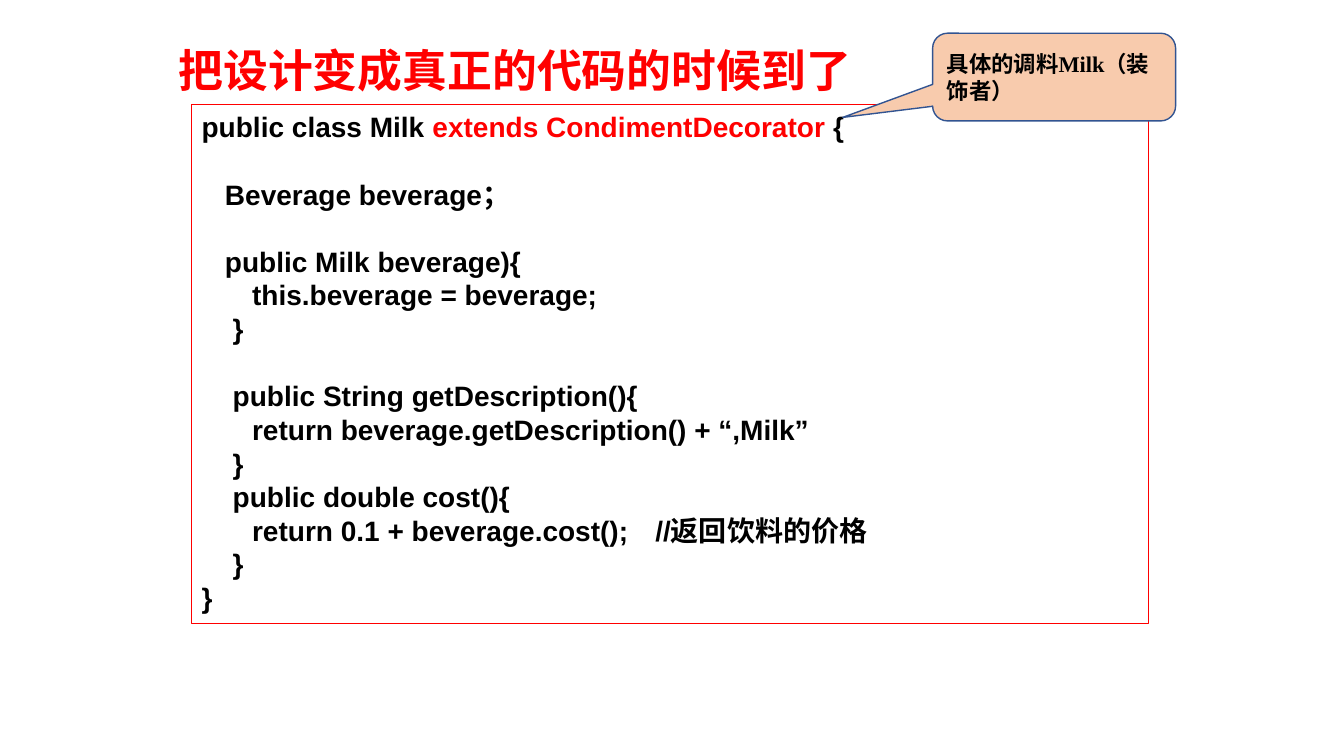
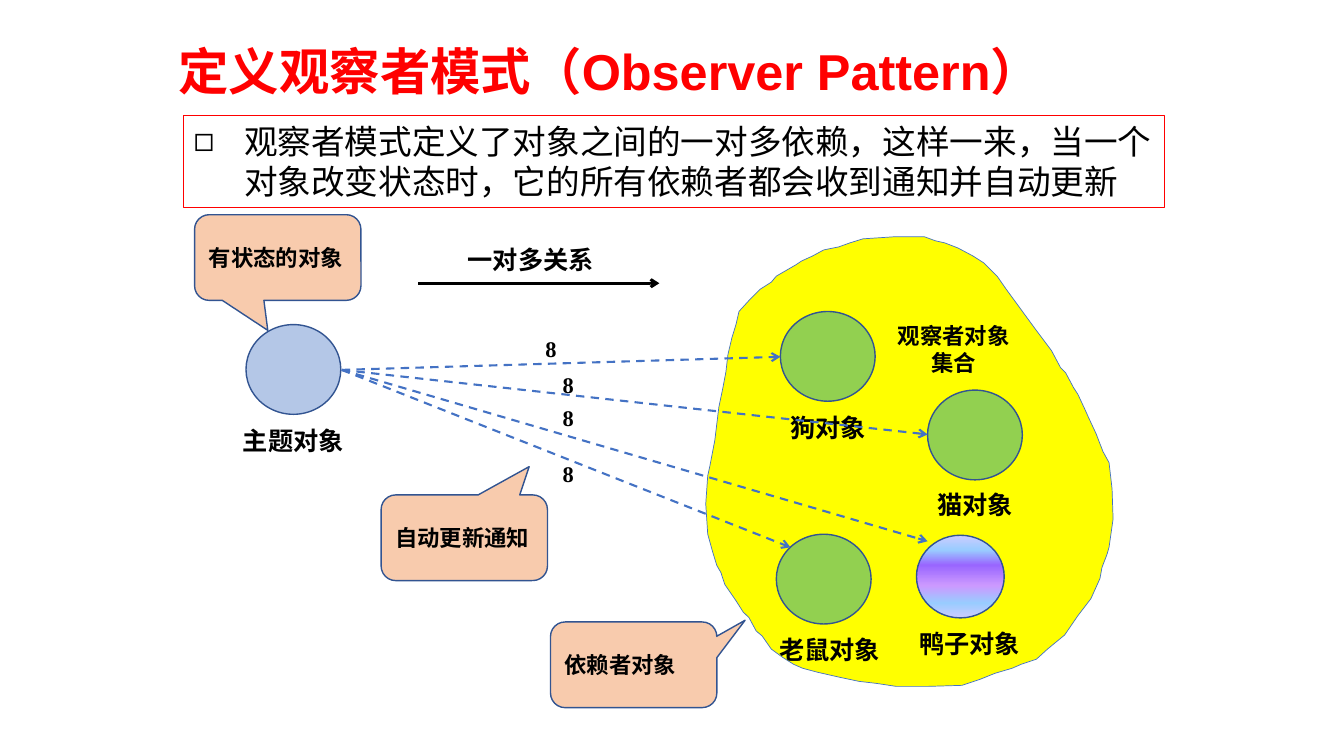
from lxml import etree
from pptx import Presentation
from pptx import util as u
from pptx.dml.color import RGBColor
from pptx.enum import dml, shapes, text
from pptx.oxml.ns import qn

COLORS = {
    "red": "FF0000", "black": "000000", "white": "FFFFFF",
    "peach": "F8CBAD", "navy": "325491", "blue": "4472C4",
    "pale_blue": "B4C7E7", "green": "92D050", "yellow": "FFFF00",
}
DUCK_STOPS = [(0, "CCCCFF"), (18, "99CCFF"), (36, "9966FF"),
              (61, "CC99FF"), (82, "99CCFF"), (100, "CCCCFF")]
EAST_ASIAN = "Noto Sans CJK SC"
SERIF = "Times New Roman"
LINE_HEIGHT = 1.2

# Each code line: spans of (text, colour), and whether a blank line precedes it
CODE = [
    ([("public class Milk ", "black"),
      ("extends CondimentDecorator", "red"), (" {", "black")], False),
    ("   Beverage beverage；", True),
    ("   public Milk beverage){", True),
    ("    \tthis.beverage = beverage;", False),
    ("    }", False),
    ("    public String getDescription(){", True),
    ("\treturn beverage.getDescription() + “,Milk”", False),
    ("    }", False),
    ("    public double cost(){", False),
    ("\treturn 0.1 + beverage.cost(); \t//返回饮料的价格", False),
    ("    }", False),
    ("}", False),
]

# Outline of the observer set, in inches
OBSERVER_SET = [
    (7.95, 2.59), (7.89, 2.63), (7.7, 2.74), (7.65, 2.8), (7.54, 2.87),
    (7.43, 2.98), (7.33, 3.09), (7.3, 3.22), (7.26, 3.35), (7.22, 3.52),
    (7.2, 3.69), (7.17, 3.85), (7.13, 4.04), (7.09, 4.37), (7.04, 4.63),
    (7.02, 4.72), (7, 5), (7.02, 5.3), (7.07, 5.48), (7.11, 5.61),
    (7.15, 5.68), (7.19, 5.8), (7.3, 5.96), (7.37, 6.07), (7.43, 6.13),
    (7.5, 6.26), (7.56, 6.31), (7.65, 6.44), (7.76, 6.52), (7.87, 6.59),
    (7.96, 6.63), (8.11, 6.67), (8.33, 6.72), (8.52, 6.76), (8.69, 6.78),
    (8.89, 6.81), (9.2, 6.81), (9.54, 6.8), (9.72, 6.74), (9.87, 6.68),
    (10.04, 6.63), (10.13, 6.59), (10.28, 6.54), (10.39, 6.44),
    (10.56, 6.3), (10.69, 6.11), (10.82, 5.94), (10.91, 5.74),
    (10.93, 5.63), (10.98, 5.5), (11, 5.43), (11.04, 5.15), (11.03, 4.85),
    (11, 4.59), (10.94, 4.48), (10.87, 4.3), (10.8, 4.15), (10.76, 4.06),
    (10.69, 3.91), (10.65, 3.85), (10.57, 3.7), (10.52, 3.65),
    (10.43, 3.48), (10.28, 3.28), (10.17, 3.13), (10.09, 3.02),
    (9.98, 2.87), (9.89, 2.74), (9.76, 2.61), (9.65, 2.54), (9.5, 2.46),
    (9.37, 2.41), (9.28, 2.39), (9.17, 2.35), (8.86, 2.35), (8.56, 2.37),
    (8.43, 2.41), (8.32, 2.45), (8.17, 2.48), (8.06, 2.54),
]


def rgb(name):
    return RGBColor.from_string(COLORS[name])


def place(box, left, top, width, height):
    box.left, box.top = u.Inches(left), u.Inches(top)
    box.width, box.height = u.Inches(width), u.Inches(height)


def paint(box, fill=None, line=None, weight=1):
    if fill:
        box.fill.solid()
        box.fill.fore_color.rgb = rgb(fill)
    else:
        box.fill.background()
    if line:
        box.line.color.rgb = rgb(line)
        box.line.width = u.Pt(weight)
    else:
        box.line.fill.background()


def add_span(para, content, *, size, font, color, bold):
    span = para.add_run()
    span.text = content
    span.font.size, span.font.bold = u.Pt(size), bold
    span.font.color.rgb = rgb(color)
    span.font.name = font
    east = etree.SubElement(span._r.get_or_add_rPr(), qn("a:ea"))
    east.set("typeface", EAST_ASIAN)


def write(box, lines, *, size=16, font=SERIF, color="black", bold=True,
          align=text.PP_ALIGN.LEFT, anchor=text.MSO_ANCHOR.TOP, wrap=True,
          bullet=None, tabs=()):
    """Fill box with lines; a line is a string, or spans plus a gap flag."""
    frame = box.text_frame
    frame.word_wrap = wrap
    frame.auto_size = text.MSO_AUTO_SIZE.NONE
    frame.vertical_anchor = anchor
    for index, line in enumerate(lines):
        spans, gap = (line, False) if isinstance(line, str) else line
        para = frame.paragraphs[0] if index == 0 else frame.add_paragraph()
        # Bullet, indent and tab stops
        props = para._p.get_or_add_pPr()
        hang = u.Inches(0.5) if bullet else 0
        props.set("marL", str(hang))
        props.set("indent", str(-hang))
        if bullet:
            etree.SubElement(props, qn("a:buChar")).set("char", bullet)
        else:
            etree.SubElement(props, qn("a:buNone"))
        if tabs:
            stops = etree.SubElement(props, qn("a:tabLst"))
            for stop in tabs:
                etree.SubElement(stops, qn("a:tab"),
                                 pos=str(u.Inches(stop)), algn="l")
        # Spacing and spans
        para.alignment = align
        para.line_spacing = u.Pt(size * LINE_HEIGHT)
        para.space_before = u.Pt(size * LINE_HEIGHT if gap else 0)
        para.space_after = u.Pt(0)
        if isinstance(spans, str):
            spans = [(spans, color)]
        for content, tint in spans:
            add_span(para, content, size=size, font=font, color=tint, bold=bold)


class SlideMaker:
    """Holds the shared style and the slide being built."""

    def __init__(self, deck):
        self.deck = deck
        self.page = None

    def start(self, title, at, size, font):
        self.page = self.deck.slides.add_slide(self.deck.slide_layouts[1])
        place(self.page.shapes.title, *at)
        write(self.page.shapes.title, [title], size=size, font=font, color="red")

    def body(self, lines, at, **style):
        box = self.page.placeholders[1]
        place(box, *at)
        paint(box, "white", "red", 0.75)
        write(box, lines, **style)

    def shape(self, kind, at, fill, line="navy"):
        box = self.page.shapes.add_shape(kind, *map(u.Inches, at))
        box.shadow.inherit = False
        paint(box, fill, line)
        return box

    def circle(self, left, top, fill, width=0.94, height=0.89):
        return self.shape(shapes.MSO_SHAPE.OVAL, (left, top, width, height), fill)

    def callout(self, words, at, pointer):
        box = self.shape(shapes.MSO_SHAPE.ROUNDED_RECTANGULAR_CALLOUT, at, "peach")
        for index, value in enumerate(pointer):
            box.adjustments[index] = value
        write(box, [words], anchor=text.MSO_ANCHOR.MIDDLE)

    def label(self, lines, at, fill=None, **style):
        box = self.page.shapes.add_textbox(*map(u.Inches, at))
        paint(box, fill)
        write(box, lines, wrap=False, **style)

    def outline(self, points, fill, line):
        first, *rest = [(u.Inches(x), u.Inches(y)) for x, y in points]
        builder = self.page.shapes.build_freeform(*first)
        builder.add_line_segments(rest, close=True)
        box = builder.convert_to_shape()
        box.shadow.inherit = False
        paint(box, fill, line, 0.5)

    def arrow(self, start, end, color, weight, dash=None):
        line = self.page.shapes.add_connector(
            shapes.MSO_CONNECTOR.STRAIGHT, *map(u.Inches, start + end))
        line.line.color.rgb = rgb(color)
        line.line.width = u.Pt(weight)
        if dash:
            line.line.dash_style = dash
        etree.SubElement(line.line._get_or_add_ln(), qn("a:tailEnd"), type="arrow")
        etree.SubElement(line._element.spPr, qn("a:effectLst"))


def shade(box, stops):
    """Give box a top-to-bottom gradient of (percent, hex) stops."""
    box.fill.gradient()
    box.fill.gradient_angle = 270
    stop_list = box._element.spPr.find(".//" + qn("a:gsLst"))
    for old in list(stop_list):
        stop_list.remove(old)
    for percent, value in stops:
        stop = etree.SubElement(stop_list, qn("a:gs"), pos=str(percent * 1000))
        etree.SubElement(stop, qn("a:srgbClr"), val=value)


def build_code_slide(maker):
    maker.start("把设计变成真正的代码的时候到了", (1.67, 0.37, 8.39, 0.64),
                32, EAST_ASIAN)
    maker.body(CODE, (1.9, 1.04, 9.49, 5.15), size=20, font="Arial", tabs=(1, 5))
    maker.callout("具体的调料Milk（装饰者）", (9.25, 0.33, 2.41, 0.87),
                  (-0.87, 0.46, 0.17))


def build_observer_slide(maker):
    center = text.PP_ALIGN.CENTER
    maker.start("定义观察者模式（Observer Pattern）", (1.67, 0.35, 9.25, 0.71),
                36, "Arial")
    maker.body(["观察者模式定义了对象之间的一对多依赖，这样一来，当一个对象改变状态时，"
                "它的所有依赖者都会收到通知并自动更新"],
               (1.82, 1.15, 9.73, 0.91), size=24, bold=False, bullet="◻")

    # Subject
    maker.circle(2.44, 3.22, "pale_blue")
    maker.label(["主题对象"], (2.31, 4.17, 1.21, 0.4), "white", size=18)

    # Observers
    maker.outline(OBSERVER_SET, "yellow", "blue")
    for left, top in [(7.74, 3.09), (9.2, 3.87), (7.7, 5.3)]:
        maker.circle(left, top, "green")
    shade(maker.circle(9.09, 5.31, "pale_blue", 0.87, 0.82), DUCK_STOPS)
    for name, left, top, width in [
            ("狗对象", 7.74, 4.04, 1.03), ("猫对象", 9.2, 4.81, 1.03),
            ("老鼠对象", 7.63, 6.24, 1.29), ("鸭子对象", 9.02, 6.18, 1.27)]:
        maker.label([name], (left, top, width, 0.4), size=18)
    maker.label(["观察者对象", "集合"], (8.8, 3.15, 1.32, 0.64), align=center)

    # Notifications from the subject to each observer
    for end in [(7.74, 3.54), (9.2, 4.31), (9.2, 5.37), (7.84, 5.43)]:
        maker.arrow((3.39, 3.67), end, "blue", 1.5, dml.MSO_LINE.DASH)
    for left, top in [(5.31, 3.28), (5.48, 3.63), (5.48, 3.96), (5.48, 4.52)]:
        maker.label(["8"], (left, top, 0.31, 0.37), align=center)

    # Explanations
    for words, left, top, pointer in [
            ("有状态的对象", 1.93, 2.13, (-0.06, 0.85, 0.17)),
            ("自动更新通知", 3.78, 4.91, (0.39, -0.83, 0.17)),
            ("依赖者对象", 5.46, 6.17, (0.67, -0.52, 0.17))]:
        maker.callout(words, (left, top, 1.65, 0.85), pointer)
    maker.arrow((4.15, 2.81), (6.54, 2.81), "black", 2)
    maker.label(["一对多关系"], (4.54, 2.37, 1.47, 0.4), "white", size=18)


def main():
    deck = Presentation()
    deck.slide_width, deck.slide_height = u.Inches(13.33), u.Inches(7.5)
    maker = SlideMaker(deck)
    build_code_slide(maker)
    build_observer_slide(maker)
    deck.save("out.pptx")


if __name__ == "__main__":
    main()
